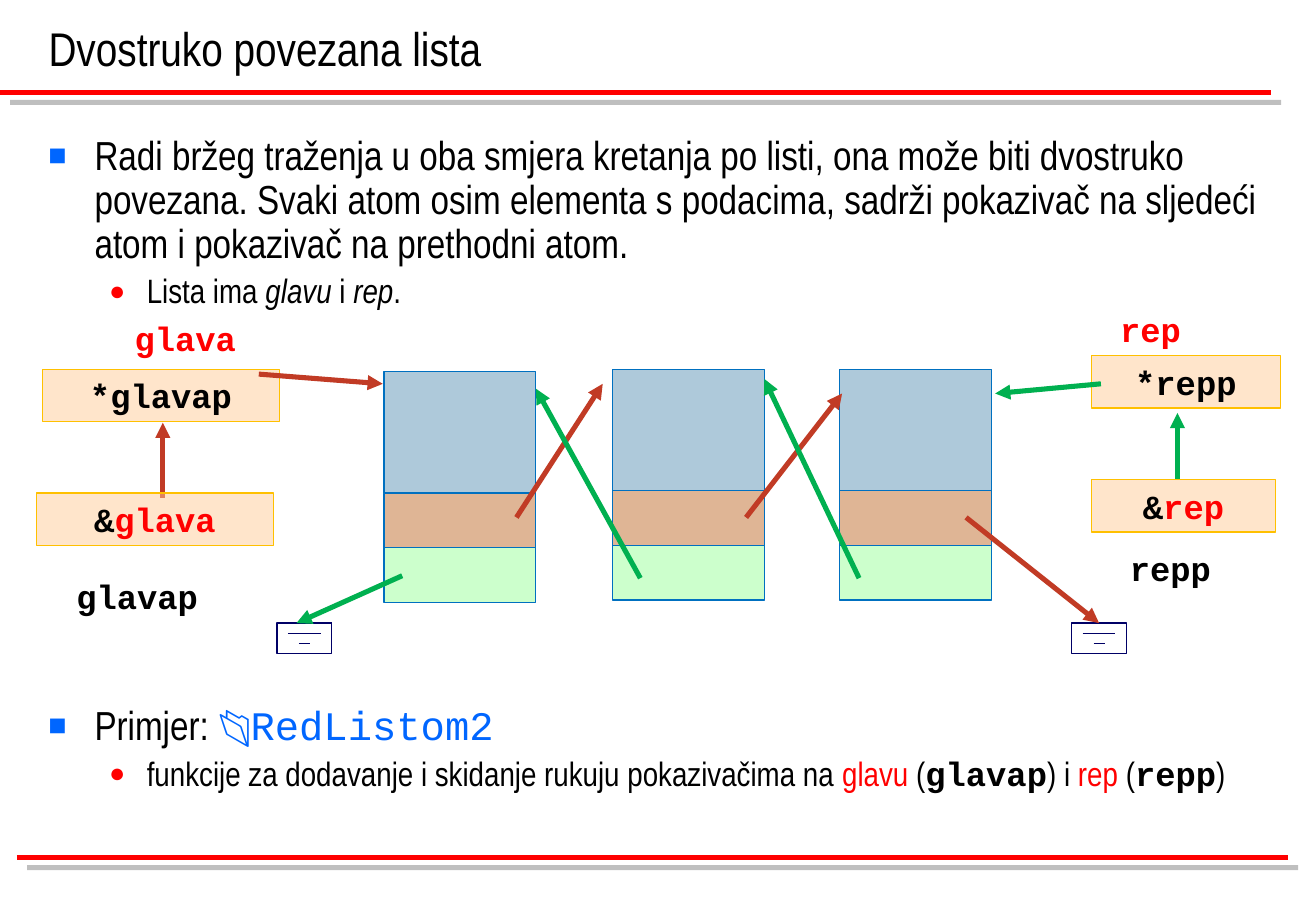
from dataclasses import dataclass
from typing import NamedTuple

from lxml.etree import SubElement
from pptx import Presentation
from pptx.dml.color import RGBColor
from pptx.enum.shapes import MSO_CONNECTOR as Connector, MSO_SHAPE as Shape
from pptx.enum.text import MSO_ANCHOR as Anchor, PP_ALIGN as Align
from pptx.oxml.ns import qn
from pptx.util import Inches, Pt

NARROW, MONO = "Arial Narrow", "Courier New"
BLACK, RED, BLUE = "000000", "FF0000", "0066FF"
RUST, GREEN, NAVY = "C13B25", "00B050", "000066"


class Run(NamedTuple):
    text: str
    color: str = BLACK
    font: str = NARROW
    bold: bool = False
    italic: bool = False


class Bullet(NamedTuple):
    symbol: str
    color: str
    percent: int
    margin: float
    hanging: float
    size: int


@dataclass
class Box:
    left: float
    top: float
    width: float
    runs: list[Run]
    height: float = 0.43


@dataclass
class Arrow:
    start: tuple[float, float]
    end: tuple[float, float]
    color: str


class Cell(NamedTuple):
    offset: float
    height: float
    fill: str
    alpha: int = 100


def code(text: str, color: str = BLACK) -> Run:
    return Run(text, color, MONO, True)


SQUARE = Bullet("■", BLUE, 75, 0.38, 0.38, 24)
DOT = Bullet("●", RED, 80, 0.81, 0.31, 20)

BODY_BLOCKS = [
    (1.07, 1.55, [
        (SQUARE, [Run("Radi bržeg traženja u oba smjera kretanja po listi, ona može biti dvostruko "
                      "povezana. Svaki atom osim elementa s podacima, sadrži pokazivač na sljedeći "
                      "atom i pokazivač na prethodni atom.")]),
        (DOT, [Run("Lista ima "), Run("glavu", italic=True), Run(" i "),
               Run("rep", italic=True), Run(".")]),
    ]),
    (5.76, 1.1, [
        (SQUARE, [Run("Primjer: "), Run("📂RedListom2", BLUE, MONO)]),
        (DOT, [Run("funkcije za dodavanje i skidanje rukuju pokazivačima na "), Run("glavu", RED),
               Run(" ("), code("glavap"), Run(") i "), Run("rep", RED),
               Run(" ("), code("repp"), Run(")")]),
    ]),
]
ATOMS = [(3.16, 3.06), (5.04, 3.04), (6.91, 3.04)]
CELLS = [Cell(0, 1, "AEC9DA"), Cell(1, 0.45, "B6540A", 43), Cell(1.45, 0.45, "CCFFCC")]
POINTED_BOXES = [Box(0.35, 3.04, 1.95, [code("*glavap")]), Box(8.98, 2.93, 1.56, [code("*repp")])]
ADDRESS_BOXES = [
    Box(0.3, 4.06, 1.95, [code("&"), code("glava", RED)]),
    Box(8.98, 3.95, 1.52, [code("&"), code("rep", RED)]),
]
LABELS = [
    Box(1.01, 2.57, 1.1, [code("glava", RED)]),
    Box(0.53, 4.69, 1.5, [code("glavap")]),
    Box(9.12, 2.49, 1.42, [code("rep", RED)]),
    Box(9.2, 4.46, 1.1, [code("repp")]),
]
ARROWS = [
    Arrow((1.34, 4.1), (1.34, 3.48), RUST),
    Arrow((2.13, 3.08), (3.15, 3.16), RUST),
    Arrow((4.25, 4.26), (4.96, 3.16), RUST),
    Arrow((6.14, 4.26), (6.93, 3.24), RUST),
    Arrow((7.07, 4.76), (6.29, 3.12), GREEN),
    Arrow((5.27, 4.76), (4.41, 3.2), GREEN),
    Arrow((3.31, 4.74), (2.44, 5.13), GREEN),
    Arrow((9.69, 3.95), (9.69, 3.4), GREEN),
    Arrow((9.06, 3.16), (8.19, 3.24), GREEN),
]
LAST_ARROW = Arrow((7.95, 4.26), (9.06, 5.13), RUST)


def rgb(color: str) -> RGBColor:
    return RGBColor.from_string(color)


def write_runs(paragraph, runs: list[Run], size: int) -> None:
    for item in runs:
        run = paragraph.add_run()
        run.text = item.text
        run.font.name = item.font
        run.font.size = Pt(size)
        run.font.bold = item.bold
        run.font.italic = item.italic
        run.font.color.rgb = rgb(item.color)


def add_bullet(paragraph, bullet: Bullet) -> None:
    properties = paragraph._p.get_or_add_pPr()
    properties.set("marL", str(Inches(bullet.margin)))
    properties.set("indent", str(-Inches(bullet.hanging)))
    color = SubElement(properties, qn("a:buClr"))
    SubElement(color, qn("a:srgbClr"), val=bullet.color)
    SubElement(properties, qn("a:buSzPct"), val=str(bullet.percent * 1000))
    SubElement(properties, qn("a:buFont"), typeface="Arial")
    SubElement(properties, qn("a:buChar"), char=bullet.symbol)


def add_line(shapes, start: tuple[float, float], end: tuple[float, float],
             color: str, width: float, arrowhead: bool = False):
    line = shapes.add_connector(Connector.STRAIGHT, *map(Inches, start + end))
    line.line.color.rgb = rgb(color)
    line.line.width = Pt(width)
    properties = line.element.spPr
    if arrowhead:
        SubElement(properties.find(qn("a:ln")), qn("a:tailEnd"), type="triangle")
    SubElement(properties, qn("a:effectLst"))
    return line


def add_rule(shapes, left: float, top: float) -> None:
    rule = add_line(shapes, (left, top), (left + 10.46, top), RED, 3)
    effects = rule.element.spPr.find(qn("a:effectLst"))
    shadow = SubElement(effects, qn("a:outerShdw"), dist=str(Pt(8.5)), dir="2700000")
    color = SubElement(shadow, qn("a:srgbClr"), val="808080")
    SubElement(color, qn("a:alpha"), val="50000")


def add_arrow(shapes, arrow: Arrow):
    return add_line(shapes, arrow.start, arrow.end, arrow.color, 3, True)


def add_rectangle(shapes, left: float, top: float, width: float, height: float,
                  line: str, fill: str = "", alpha: int = 100):
    shape = shapes.add_shape(Shape.RECTANGLE, *map(Inches, (left, top, width, height)))
    shape.shadow.inherit = False
    shape.line.color.rgb = rgb(line)
    shape.line.width = Pt(0.75)
    if fill:
        shape.fill.solid()
        shape.fill.fore_color.rgb = rgb(fill)
        if alpha < 100:
            color = shape.element.spPr.find(qn("a:solidFill")).find(qn("a:srgbClr"))
            SubElement(color, qn("a:alpha"), val=str(alpha * 1000))
    else:
        shape.fill.background()
    return shape


def add_pointer_box(shapes, box: Box) -> None:
    shape = add_rectangle(shapes, box.left, box.top, box.width, box.height, "FFC000", "FFCC99", 50)
    shape.text_frame.word_wrap = False
    shape.text_frame.vertical_anchor = Anchor.MIDDLE
    paragraph = shape.text_frame.paragraphs[0]
    paragraph.alignment = Align.CENTER
    write_runs(paragraph, box.runs, 20)


def add_text_box(shapes, left: float, top: float, width: float, height: float):
    frame = shapes.add_textbox(*map(Inches, (left, top, width, height))).text_frame
    frame.word_wrap = True
    return frame


def add_null_symbol(shapes, left: float, top: float):
    group = shapes.add_group_shape().shapes
    for step in range(3):
        inset, level = 0.09 * step, top + 0.085 * step
        add_line(group, (left + inset, level), (left + 0.45 - inset, level), NAVY, 0.75)
    return add_rectangle(group, left, top, 0.45, 0.25, NAVY)


def main() -> None:
    presentation = Presentation()
    presentation.slide_width, presentation.slide_height = Inches(10.83), Inches(7.5)
    slide = presentation.slides.add_slide(presentation.slide_layouts[5])
    shapes = slide.shapes

    title = shapes.title
    title.left, title.top, title.width, title.height = map(Inches, (0.3, 0, 10.16, 0.68))
    title.text_frame.vertical_anchor = Anchor.BOTTOM
    title.text_frame.paragraphs[0].alignment = Align.LEFT
    write_runs(title.text_frame.paragraphs[0], [Run("Dvostruko povezana lista")], 28)
    add_rule(shapes, 0, 0.76)
    add_rule(shapes, 0.14, 7.06)

    for top, height, entries in BODY_BLOCKS:
        frame = add_text_box(shapes, 0.3, top, 10.24, height)
        for index, (bullet, runs) in enumerate(entries):
            paragraph = frame.add_paragraph() if index else frame.paragraphs[0]
            add_bullet(paragraph, bullet)
            paragraph.line_spacing = 0.9
            paragraph.space_before = Pt(4.5 if index else 0)
            write_runs(paragraph, runs, bullet.size)

    for left, top in ATOMS:
        for cell in CELLS:
            add_rectangle(shapes, left, top + cell.offset, 1.25, cell.height,
                          "0070C0", cell.fill, cell.alpha)
    add_null_symbol(shapes, 2.28, 5.13)
    end_symbol = add_null_symbol(shapes, 8.82, 5.13)

    for box in POINTED_BOXES:
        add_pointer_box(shapes, box)
    for arrow in ARROWS:
        add_arrow(shapes, arrow)
    add_arrow(shapes, LAST_ARROW).end_connect(end_symbol, 0)
    for box in ADDRESS_BOXES:
        add_pointer_box(shapes, box)
    for label in LABELS:
        frame = add_text_box(shapes, label.left, label.top, label.width, label.height)
        write_runs(frame.paragraphs[0], label.runs, 20)

    presentation.save("out.pptx")


if __name__ == "__main__":
    main()
